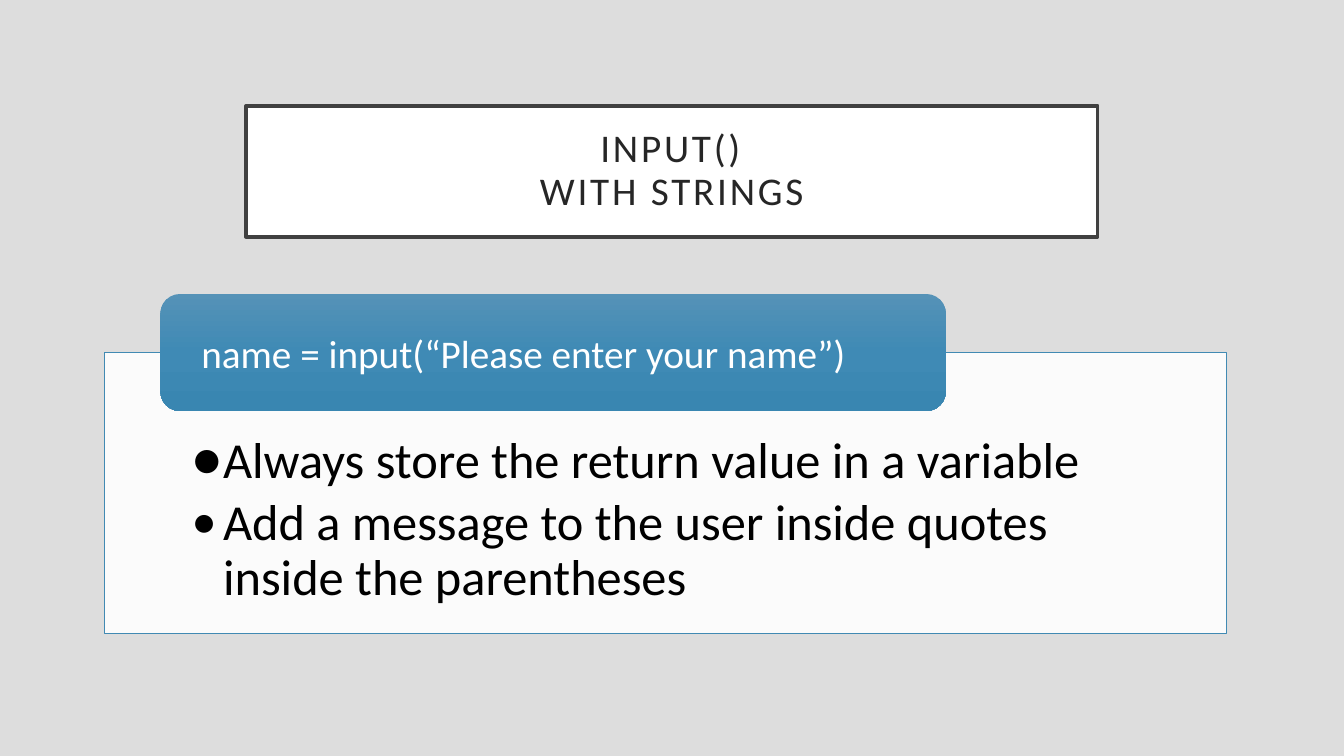
"""Build the slide on input() with strings."""
from copy import deepcopy

from pptx import Presentation
from pptx.dml.color import RGBColor
from pptx.enum.shapes import MSO_SHAPE as Preset
from pptx.enum.text import MSO_ANCHOR as Anchor, MSO_AUTO_SIZE as AutoSize, PP_ALIGN as Align
from pptx.oxml.ns import qn
from pptx.util import Pt
from lxml.etree import SubElement


def color(code):
    return RGBColor.from_string(code)


def write(paragraph, text, size=28, ink="000000", align=Align.LEFT, line=1.0,
          after=0, tracking=0, bullet=None, indent=0):
    paragraph.text = text
    paragraph.alignment = align
    paragraph.line_spacing = line
    paragraph.space_before = Pt(0)
    paragraph.space_after = Pt(after)
    for run in paragraph.runs:
        run.font.name = "Calibri"
        run.font.size = Pt(size)
        run.font.color.rgb = color(ink)
        run._r.get_or_add_rPr().set("spc", str(tracking * 100))
    if bullet:
        properties = paragraph._p.get_or_add_pPr()
        properties.set("marL", str(Pt(indent)))
        properties.set("indent", str(-Pt(indent)))
        SubElement(properties, qn("a:buFont")).set("typeface", "Calibri")
        SubElement(properties, qn("a:buChar")).set("char", bullet)


deck = Presentation()
deck.slide_width, deck.slide_height = Pt(960), Pt(540)
slide = deck.slides.add_slide(deck.slide_layouts[1])
slide.background.fill.solid()
slide.background.fill.fore_color.rgb = color("DDDDDD")

heading, advice = slide.placeholders
code_tab = slide.shapes.add_shape(Preset.ROUNDED_RECTANGLE, 0, 0, 0, 0)
code_tab.shadow.inherit = False

layout = [
    (heading, (175.7, 75.6, 608.4, 93.6), (14.4, 14.4, 14.4, 14.4), Anchor.MIDDLE),
    (advice, (74.6, 251.8, 801.4, 200.6), (62.2, 59, 62.2, 20.2), Anchor.TOP),
    (code_tab, (114.6, 210, 561, 83.6), (25.2, 0, 25.2, 0), Anchor.MIDDLE),
]
for part, place, insets, anchor in layout:
    part.left, part.top, part.width, part.height = map(Pt, place)
    frame = part.text_frame
    frame.auto_size = AutoSize.NONE
    frame.word_wrap = True
    frame.vertical_anchor = anchor
    (frame.margin_left, frame.margin_top,
     frame.margin_right, frame.margin_bottom) = map(Pt, insets)

for panel, border, weight in [(heading, "404040", 2.5), (advice, "418AB3", 0.5)]:
    panel.fill.solid()
    panel.fill.fore_color.rgb = color("FFFFFF")
    panel.line.color.rgb = color(border)
    panel.line.width = Pt(weight)
advice_fill = advice._element.spPr.find(qn("a:solidFill"))
SubElement(advice_fill[0], qn("a:alpha")).set("val", "90000")

code_tab.line.fill.background()
code_tab.fill.gradient()
code_tab.fill.gradient_angle = 270
first_stop = code_tab._element.spPr.xpath(".//a:gs")[0]
first_stop.addnext(deepcopy(first_stop))
blues = [(0, "5592B7"), (0.5, "3F8AB5"), (1, "3986B1")]
for stop, (position, blue) in zip(code_tab.fill.gradient_stops, blues):
    stop.position = position
    stop.color.rgb = color(blue)

write(heading.text_frame.paragraphs[0], "INPUT()\vWITH STRINGS", ink="262626",
      align=Align.CENTER, line=0.9, tracking=2)
write(code_tab.text_frame.paragraphs[0], "name = input(“Please enter your name”)",
      ink="FFFFFF")

tips = [
    ("●", "Always store the return value in a variable"),
    ("•", "Add a message to the user inside quotes inside the parentheses"),
]
advice.text_frame.add_paragraph()
for paragraph, (bullet, tip) in zip(advice.text_frame.paragraphs, tips):
    write(paragraph, tip, size=36, line=0.9, after=5.4, bullet=bullet, indent=22.5)

deck.save("out.pptx")
